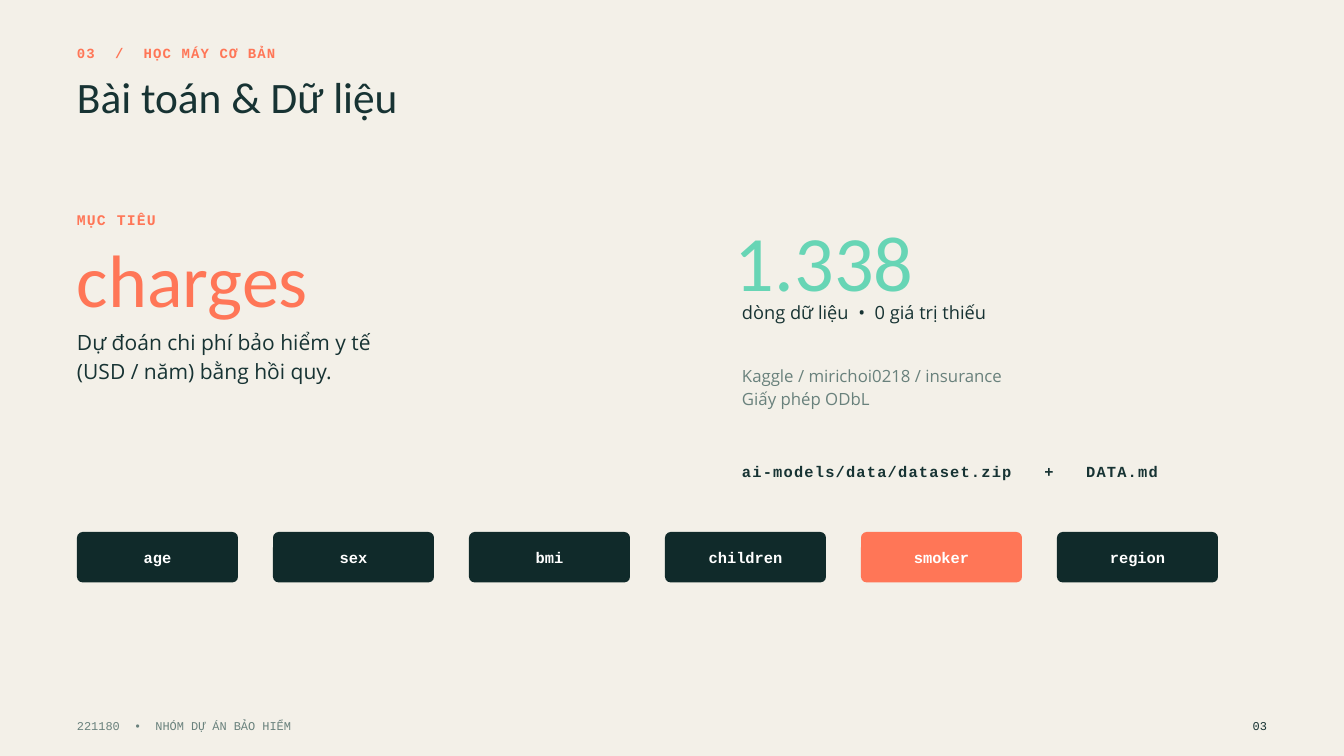
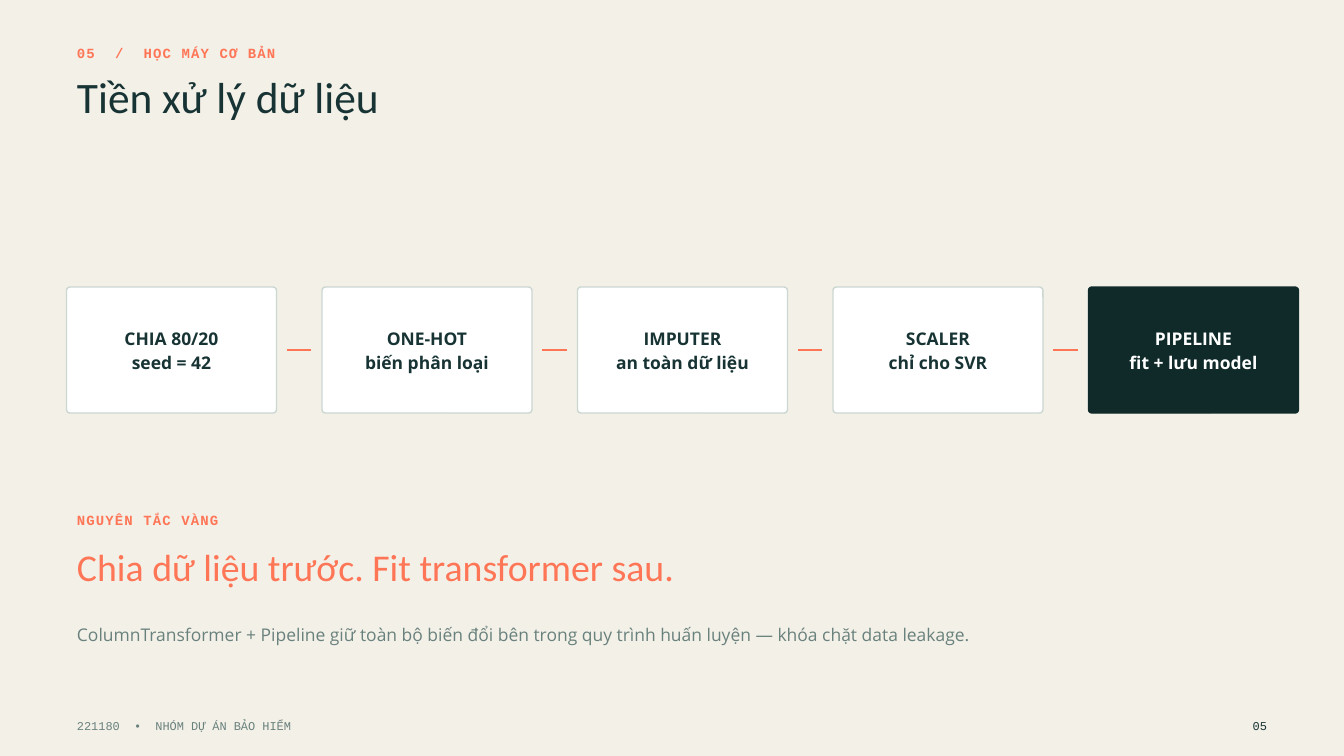
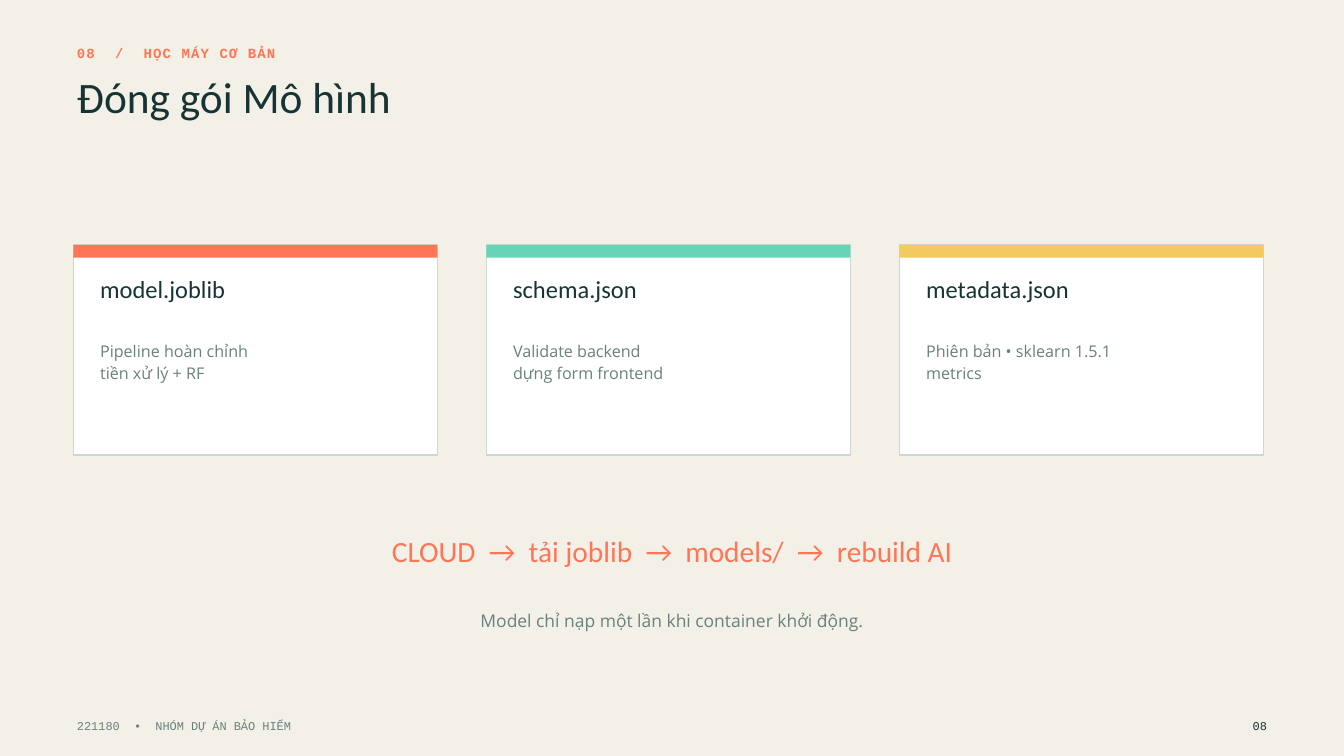
from dataclasses import dataclass, replace

import pptx
import pptx.dml.color
import pptx.enum.shapes
import pptx.enum.text
import pptx.oxml.ns
import pptx.util
from lxml import etree

RGB = pptx.dml.color.RGBColor
ALIGN = pptx.enum.text.PP_ALIGN
ANCHOR = pptx.enum.text.MSO_ANCHOR
SHAPE = pptx.enum.shapes.MSO_SHAPE

PAPER = RGB(0xF3, 0xF0, 0xE8)
INK = RGB(0x17, 0x33, 0x33)
DARK = RGB(0x10, 0x2A, 0x2A)
CORAL = RGB(0xFF, 0x76, 0x57)
MINT = RGB(0x67, 0xD5, 0xB5)
GOLD = RGB(0xF4, 0xC9, 0x5D)
MUTED = RGB(0x69, 0x81, 0x7C)
RULE = RGB(0xCB, 0xD7, 0xD1)
WHITE = RGB(0xFF, 0xFF, 0xFF)

HEAD, BODY, MONO = "Calibri", "Open Sans", "Courier New"
PX = 9525
GAP = "~"  # stands for a widened space in a text


@dataclass(frozen=True)
class Style:
    """Text look; sizes, leading, tracking and gap widening are in points."""
    font: str
    size: float
    leading: float
    color: RGB
    bold: bool = False
    tracking: float = 0
    gap: float = 0
    align: ALIGN = ALIGN.LEFT


KICKER = Style(MONO, 15, 21, CORAL, True, 1.2, 10.2)
TITLE = Style(HEAD, 46.5, 47.4, INK)
FOOTER = Style(MONO, 12.75, 17.8, MUTED, gap=7.65)
PAGE = replace(FOOTER, color=INK, align=ALIGN.RIGHT)
LABEL = Style(MONO, 15.75, 22, CORAL, True, 1.3)
TARGET = Style(HEAD, 79.5, 81.1, CORAL)
GOAL = Style(BODY, 22.5, 31, INK)
COUNT = Style(HEAD, 84, 85.7, MINT)
COUNT_NOTE = Style(BODY, 19.5, 26.9, INK, gap=5.1)
CREDIT = Style(BODY, 18, 24.8, MUTED)
FILES = Style(MONO, 16.5, 23.1, INK, True, 1.3, 22.4)
CHIP = Style(MONO, 16.5, 23.1, WHITE, True, align=ALIGN.CENTER)
STEP = Style(BODY, 18.75, 25.3, INK, True, align=ALIGN.CENTER)
RULE_TEXT = Style(HEAD, 40.5, 41.3, CORAL)
NOTE = Style(BODY, 18.75, 25.9, MUTED)
CARD_HEAD = Style(HEAD, 26.25, 26.8, INK)
CARD_BODY = Style(BODY, 17.25, 23.8, MUTED)
FLOW = Style(HEAD, 31.5, 32.1, CORAL, gap=7.1, align=ALIGN.CENTER)


def px(*values):
    return [v * PX for v in values]


def add_run(p, text, tracking):
    r = p.add_run()
    r.text = text
    if tracking:
        r._r.get_or_add_rPr().set("spc", str(round(tracking * 100)))


def write(tf, lines, style, insets=(0, 0, 0, 0), anchor=ANCHOR.TOP):
    tf.word_wrap = True
    tf.auto_size = pptx.enum.text.MSO_AUTO_SIZE.NONE
    tf.vertical_anchor = anchor
    tf.margin_left, tf.margin_top, tf.margin_right, tf.margin_bottom = px(*insets)
    for i, line in enumerate(lines):
        p = tf.paragraphs[0] if i == 0 else tf.add_paragraph()
        p.alignment = style.align
        p.line_spacing = pptx.util.Pt(style.leading)
        p.space_before = pptx.util.Pt(0)
        for j, part in enumerate(line.split(GAP)):
            if j:
                add_run(p, " ", style.tracking + style.gap)
            add_run(p, part, style.tracking)
        p.font.name = style.font
        p.font.size = pptx.util.Pt(style.size)
        p.font.bold = style.bold
        p.font.color.rgb = style.color


def add_text(s, box, style, *lines):
    write(s.shapes.add_textbox(*px(*box)).text_frame, lines, style)


def add_box(s, box, fill, line=None, radius=0):
    kind = SHAPE.ROUNDED_RECTANGLE if radius else SHAPE.RECTANGLE
    sp = s.shapes.add_shape(kind, *px(*box))
    if radius:
        sp.adjustments[0] = radius / min(box[2:])
    sp.shadow.inherit = False
    sp.fill.solid()
    sp.fill.fore_color.rgb = fill
    if line is None:
        sp.line.fill.background()
    else:
        sp.line.color.rgb = line
        sp.line.width = pptx.util.Pt(1.5)
    return sp


def add_dash(s, x, y, length):
    c = s.shapes.add_connector(pptx.enum.shapes.MSO_CONNECTOR.STRAIGHT,
                               *px(x, y, x + length, y))
    c.line.color.rgb = CORAL
    c.line.width = pptx.util.Pt(3)
    etree.SubElement(c._element.spPr, pptx.oxml.ns.qn("a:effectLst"))


def base_slide(prs, number, title):
    """Slide with the shared kicker, title and footer."""
    s = prs.slides.add_slide(prs.slide_layouts[5])
    sp = s.shapes.title
    sp.left, sp.top, sp.width, sp.height = px(110, 111, 1500, 69)
    write(sp.text_frame, [title], TITLE)
    add_text(s, (110, 60, 650, 26), KICKER, f"{number}~/~HỌC MÁY CƠ BẢN")
    add_text(s, (110, 1024, 700, 21), FOOTER, "221180~•~NHÓM DỰ ÁN BẢO HIỂM")
    add_text(s, (1740, 1024, 70, 21), PAGE, number)
    return s


def goal_block(s, x, y):
    add_text(s, (x, y, 500, 28), LABEL, "MỤC TIÊU")
    add_text(s, (x, y + 55, 650, 115), TARGET, "charges")
    add_text(s, (x, y + 169, 650, 81), GOAL,
             "Dự đoán chi phí bảo hiểm y tế", "(USD / năm) bằng hồi quy.")


def dataset_block(s, x, y):
    add_text(s, (x - 10, y, 500, 120), COUNT, "1.338")
    add_text(s, (x, y + 102, 620, 35), COUNT_NOTE, "dòng dữ liệu~•~0 giá trị thiếu")
    add_text(s, (x, y + 194, 650, 63), CREDIT,
             "Kaggle / mirichoi0218 / insurance", "Giấy phép ODbL")
    add_text(s, (x, y + 332, 650, 30), FILES, "ai-models/data/dataset.zip~+~DATA.md")


def feature_chips(s, x, y, names, highlight):
    for i, name in enumerate(names):
        fill = CORAL if name == highlight else DARK
        sp = add_box(s, (x + i * 280, y, 230, 72), fill, radius=8)
        write(sp.text_frame, [name], CHIP, (6, 6, 6, 9), ANCHOR.MIDDLE)


def pipeline_steps(s, x, y, steps):
    width, height, pitch = 300, 180, 365
    for i, lines in enumerate(steps):
        left = x + i * pitch
        last = i == len(steps) - 1
        sp = add_box(s, (left, y, width, height), DARK if last else WHITE,
                     DARK if last else RULE, radius=5)
        style = replace(STEP, color=WHITE) if last else STEP
        write(sp.text_frame, lines, style, (6, 6, 6, 9), ANCHOR.MIDDLE)
        if not last:
            add_dash(s, left + width + 15, y + height // 2, 35)


def golden_rule(s, x, y):
    add_text(s, (x, y, 400, 27), KICKER, "NGUYÊN TẮC VÀNG")
    add_text(s, (x, y + 59, 1450, 59), RULE_TEXT, "Chia dữ liệu trước. Fit transformer sau.")
    add_text(s, (x, y + 160, 1500, 33), NOTE,
             "ColumnTransformer + Pipeline giữ toàn bộ biến đổi bên trong "
             "quy trình huấn luyện — khóa chặt data leakage.")


def file_card(s, box, accent, name, lines):
    x, y, w, h = box
    add_box(s, box, WHITE, RULE)
    add_box(s, (x, y, w, 18), accent)
    add_text(s, (x + 38, y + 48, w - 70, 38), CARD_HEAD, name)
    add_text(s, (x + 38, y + 134, w - 70, 60), CARD_BODY, *lines)


def data_slide(prs):
    s = base_slide(prs, "03", "Bài toán & Dữ liệu")
    feature_chips(s, 110, 760, ("age", "sex", "bmi", "children", "smoker", "region"),
                  "smoker")
    goal_block(s, 110, 297)
    dataset_block(s, 1060, 324)


def preprocessing_slide(prs):
    s = base_slide(prs, "05", "Tiền xử lý dữ liệu")
    pipeline_steps(s, 95, 410, (
        ("CHIA 80/20", "seed = 42"),
        ("ONE-HOT", "biến phân loại"),
        ("IMPUTER", "an toàn dữ liệu"),
        ("SCALER", "chỉ cho SVR"),
        ("PIPELINE", "fit + lưu model"),
    ))
    golden_rule(s, 110, 727)


def packaging_slide(prs):
    s = base_slide(prs, "08", "Đóng gói Mô hình")
    cards = (
        (CORAL, "model.joblib", ("Pipeline hoàn chỉnh", "tiền xử lý + RF")),
        (MINT, "schema.json", ("Validate backend", "dựng form frontend")),
        (GOLD, "metadata.json", ("Phiên bản • sklearn 1.5.1", "metrics")),
    )
    for i, card in enumerate(cards):
        file_card(s, (105 + i * 590, 350, 520, 300), *card)
    add_text(s, (220, 769, 1480, 45), FLOW,
             "CLOUD~→~tải joblib~→~models/~→~rebuild AI")
    add_text(s, (450, 867, 1020, 33), replace(NOTE, align=ALIGN.CENTER),
             "Model chỉ nạp một lần khi container khởi động.")


def main():
    prs = pptx.Presentation()
    prs.slide_width, prs.slide_height = px(1920, 1080)
    fill = prs.slide_master.background.fill
    fill.solid()
    fill.fore_color.rgb = PAPER
    data_slide(prs)
    preprocessing_slide(prs)
    packaging_slide(prs)
    prs.save("out.pptx")


if __name__ == "__main__":
    main()
